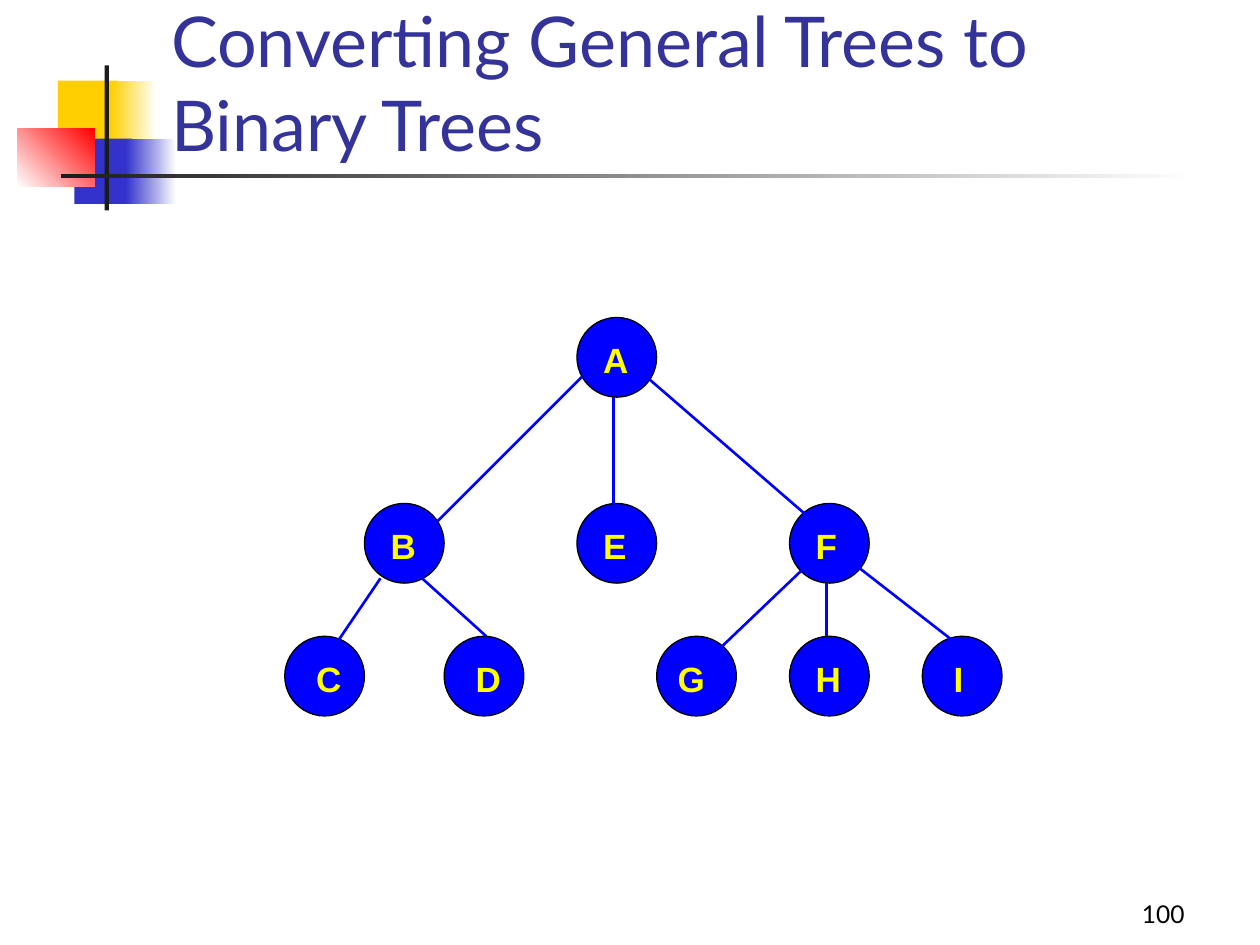
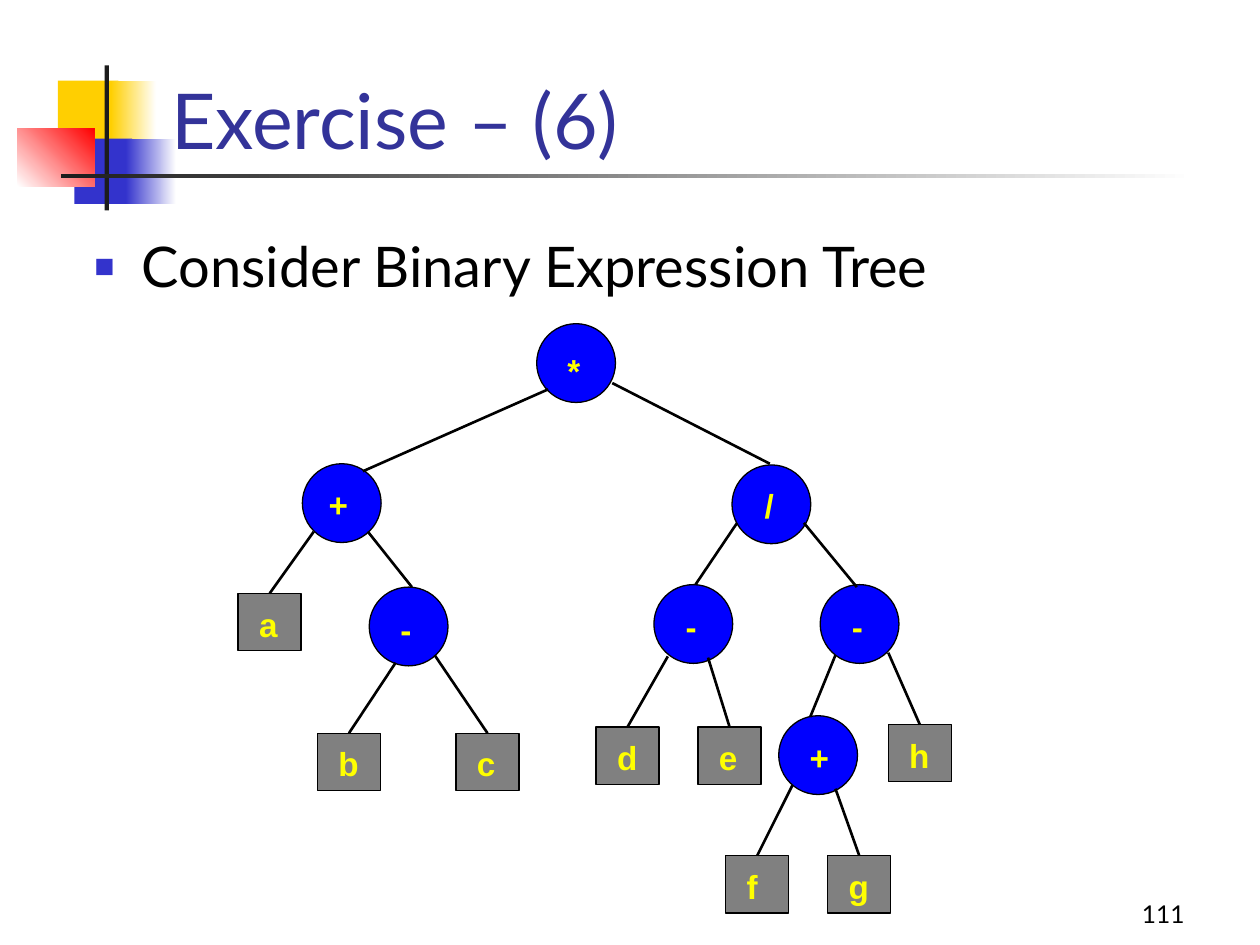
from dataclasses import dataclass

from lxml import etree
from pptx import Presentation
from pptx.dml.color import RGBColor as RGB
from pptx.enum.shapes import MSO_CONNECTOR as Link, MSO_SHAPE as Preset
from pptx.enum.text import MSO_ANCHOR as Anchor, PP_ALIGN as Align
from pptx.oxml.ns import qn
from pptx.util import Pt


@dataclass(frozen=True)
class Theme:
    text_font: str = "Lato"
    node_font: str = "Arial"
    title: str = "333399"
    black: str = "000000"
    white: str = "FFFFFF"
    gold: str = "FFCF01"
    indigo: str = "3333CC"
    red: str = "FF0000"
    rule: str = "1C1C1C"
    node: str = "0000FF"
    leaf: str = "808080"
    label: str = "FFFF00"
    body_size: int = 32
    number_size: int = 14
    outline: float = 0.75
    edge: float = 1.5


THEME = Theme()

GRID = 15.18
TREE_LEFT, TREE_TOP = 162.7, 181.4
LABEL_WIDTH, LABEL_HEIGHT = 36.5, 33
LABEL_INSETS = (12, 6)
LEAF_WIDTH, LEAF_HEIGHT = 36, 32.8
OPERATOR_DIAMETER = 45

# letter: grid column, grid row, label shift
GENERAL_NODES = {
    "A": (11, 0, 3), "B": (3, 7, 3), "C": (0, 12, 6),
    "D": (6, 12, 6), "E": (11, 7, 3), "F": (19, 7, 3),
    "G": (14, 12, 0), "H": (19, 12, 3), "I": (24, 12, 6),
}
GENERAL_EDGES = [
    ((332.6, 215.3), (247.7, 300.2)),
    ((350.6, 226.8), (350.6, 288)),
    ((369.4, 215.3), (460.1, 293.8)),
    ((217.4, 330.5), (193, 366.5)),
    ((241.2, 330.5), (277.9, 363.6)),
    ((472.3, 333.4), (472.3, 363.6)),
    ((460.1, 324), (411.8, 370.1)),
    ((490.3, 324), (545, 366.5)),
]

OPERATORS = [
    ("*", 306.7, 185, (3, 9.4), Align.CENTER),
    ("+", 172.8, 265, (3, 5.8), Align.LEFT),
    ("-", 211, 335.5, (5.8, 6.5), Align.LEFT),
    ("/", 418.3, 265.7, (3, 5.8), Align.CENTER),
    ("-", 373.7, 334.1, (3, 6.5), Align.CENTER),
    ("-", 468.7, 334.1, (3, 6.5), Align.CENTER),
    ("+", 445, 409, (5, 6.5), Align.CENTER),
]
OPERATOR_EDGES = [
    ((313.2, 222.5), (207.4, 269.3)),
    ((349.9, 218.9), (439.9, 265)),
    ((210.2, 303.8), (235.4, 335.5)),
    ((421.2, 298.8), (397.4, 334.1)),
    ((459.4, 298.8), (489.6, 335.5)),
    ((477.4, 374.4), (463, 409.7)),
]
OPERANDS = [
    ("a", 136.1, 339.1, (179.3, 303.8)),
    ("b", 181.4, 419, (226.1, 378.7)),
    ("c", 260.6, 419, (248.4, 374.4)),
    ("d", 340.6, 415.4, (381.6, 375.1)),
    ("e", 398.9, 415.4, (404.6, 375.8)),
    ("h", 507.6, 414, (507.6, 373)),
    ("f", 414.7, 488.9, (452.9, 448.6)),
    ("g", 473, 488.9, (477.4, 450.7)),
]


def points(*lengths):
    return [Pt(length) for length in lengths]


def write(holder, text, *, size, font=THEME.text_font, color=THEME.black,
          bold=False, align=Align.LEFT, anchor=Anchor.TOP, insets=(7.2, 3.6),
          bullet=None):
    frame = holder.text_frame
    frame.word_wrap = True
    frame.vertical_anchor = anchor
    frame.margin_left = frame.margin_right = Pt(insets[0])
    frame.margin_top = frame.margin_bottom = Pt(insets[1])
    paragraph = frame.paragraphs[0]
    paragraph.alignment = align
    if bullet:
        add_bullet(paragraph, bullet)
    run = paragraph.add_run()
    run.text = text
    run.font.name = font
    run.font.size = Pt(size)
    run.font.bold = bold
    run.font.color.rgb = RGB.from_string(color)


def add_bullet(paragraph, symbol):
    properties = paragraph._p.get_or_add_pPr()
    properties.set("marL", str(Pt(27)))
    properties.set("indent", str(Pt(-27)))
    tint = etree.SubElement(properties, qn("a:buClr"))
    etree.SubElement(tint, qn("a:srgbClr"), val=THEME.indigo)
    etree.SubElement(properties, qn("a:buSzPct"), val="60000")
    etree.SubElement(properties, qn("a:buFont"), typeface=THEME.node_font)
    etree.SubElement(properties, qn("a:buChar"), char=symbol)


def add_text(slide, box, text, **style):
    write(slide.shapes.add_textbox(*points(*box)), text, **style)


def add_figure(slide, preset, box, fill, fade_to=None, angle=0, outlined=False):
    figure = slide.shapes.add_shape(preset, *points(*box))
    figure.shadow.inherit = False
    if fade_to:
        figure.fill.gradient()
        figure.fill.gradient_angle = angle
        for stop, color in zip(figure.fill.gradient_stops, (fill, fade_to)):
            stop.color.rgb = RGB.from_string(color)
    else:
        figure.fill.solid()
        figure.fill.fore_color.rgb = RGB.from_string(fill)
    if outlined:
        figure.line.color.rgb = RGB.from_string(THEME.black)
        figure.line.width = Pt(THEME.outline)
    else:
        figure.line.fill.background()
    return figure


def add_edge(slide, start, end, color):
    edge = slide.shapes.add_connector(Link.STRAIGHT, *points(*start, *end))
    edge.line.color.rgb = RGB.from_string(color)
    edge.line.width = Pt(THEME.edge)
    etree.SubElement(edge._element.spPr, qn("a:effectLst"))
    return edge


def add_node(slide, left, top, diameter):
    add_figure(slide, Preset.FLOWCHART_CONNECTOR,
               (left, top, diameter, diameter), THEME.node, outlined=True)


def add_label(slide, text, left, top, size, align=Align.LEFT):
    add_text(slide, (left, top, LABEL_WIDTH, LABEL_HEIGHT), text, size=size,
             font=THEME.node_font, color=THEME.label, bold=True, align=align,
             insets=LABEL_INSETS)


def add_operand(slide, text, left, top, start):
    leaf = add_figure(slide, Preset.RECTANGLE,
                      (left, top, LEAF_WIDTH, LEAF_HEIGHT), THEME.leaf,
                      outlined=True)
    write(leaf, text, size=19, font=THEME.node_font, color=THEME.label,
          bold=True, insets=LABEL_INSETS)
    edge = add_edge(slide, start, (left + LEAF_WIDTH / 2, top), THEME.black)
    edge.end_connect(leaf, 0)


def add_ornament(slide):
    white = THEME.white
    for box, fill, fade_to, angle in (
        ((33.1, 46, 34.6, 37.4), THEME.gold, None, 0),
        ((63.4, 46, 25.9, 37.4), THEME.gold, white, 0),
        ((42.5, 79.2, 33.1, 37.4), THEME.indigo, None, 0),
        ((72, 79.2, 28.8, 37.4), THEME.indigo, white, 0),
        ((10, 73.4, 44, 33.2), white, THEME.red, 45),
        ((59.8, 37.4, 2.4, 82.8), THEME.rule, None, 0),
        ((34.6, 99.4, 648, 2.4), THEME.rule, white, 0),
    ):
        add_figure(slide, Preset.RECTANGLE, box, fill, fade_to, angle)


def start_slide(deck, title, title_size, number):
    slide = deck.slides.add_slide(deck.slide_layouts[6])
    add_ornament(slide)
    add_text(slide, (534.2, 498.2, 149.8, 36), number, size=THEME.number_size,
             align=Align.RIGHT, anchor=Anchor.BOTTOM)
    add_text(slide, (90.7, 7.9, 613.4, 90), title, size=title_size,
             color=THEME.title, anchor=Anchor.BOTTOM)
    return slide


def draw_general_tree(slide):
    places = {letter: (TREE_LEFT + column * GRID, TREE_TOP + row * GRID)
              for letter, (column, row, _) in GENERAL_NODES.items()}
    for left, top in places.values():
        add_node(slide, left, top, 3 * GRID)
    for start, end in GENERAL_EDGES:
        add_edge(slide, start, end, THEME.node)
    for letter, (left, top) in places.items():
        shift = GENERAL_NODES[letter][2]
        add_label(slide, letter, left + shift, top + 6.3, size=20)


def draw_expression_tree(slide):
    for symbol, left, top, (right, down), align in OPERATORS:
        add_node(slide, left, top, OPERATOR_DIAMETER)
        add_label(slide, symbol, left + right, top + down, 19, align)
    for start, end in OPERATOR_EDGES:
        add_edge(slide, start, end, THEME.black)
    for operand in OPERANDS:
        add_operand(slide, *operand)


def main():
    deck = Presentation()
    deck.slide_width, deck.slide_height = points(720, 540)

    conversion = start_slide(
        deck, "Converting General Trees to Binary Trees", 40, "100")
    draw_general_tree(conversion)

    exercise = start_slide(deck, "Exercise – (6)", 44, "111")
    add_text(exercise, (46.8, 128.9, 658.1, 353.5),
             "Consider Binary Expression Tree", size=THEME.body_size, bullet="■")
    draw_expression_tree(exercise)

    deck.save("out.pptx")


if __name__ == "__main__":
    main()
